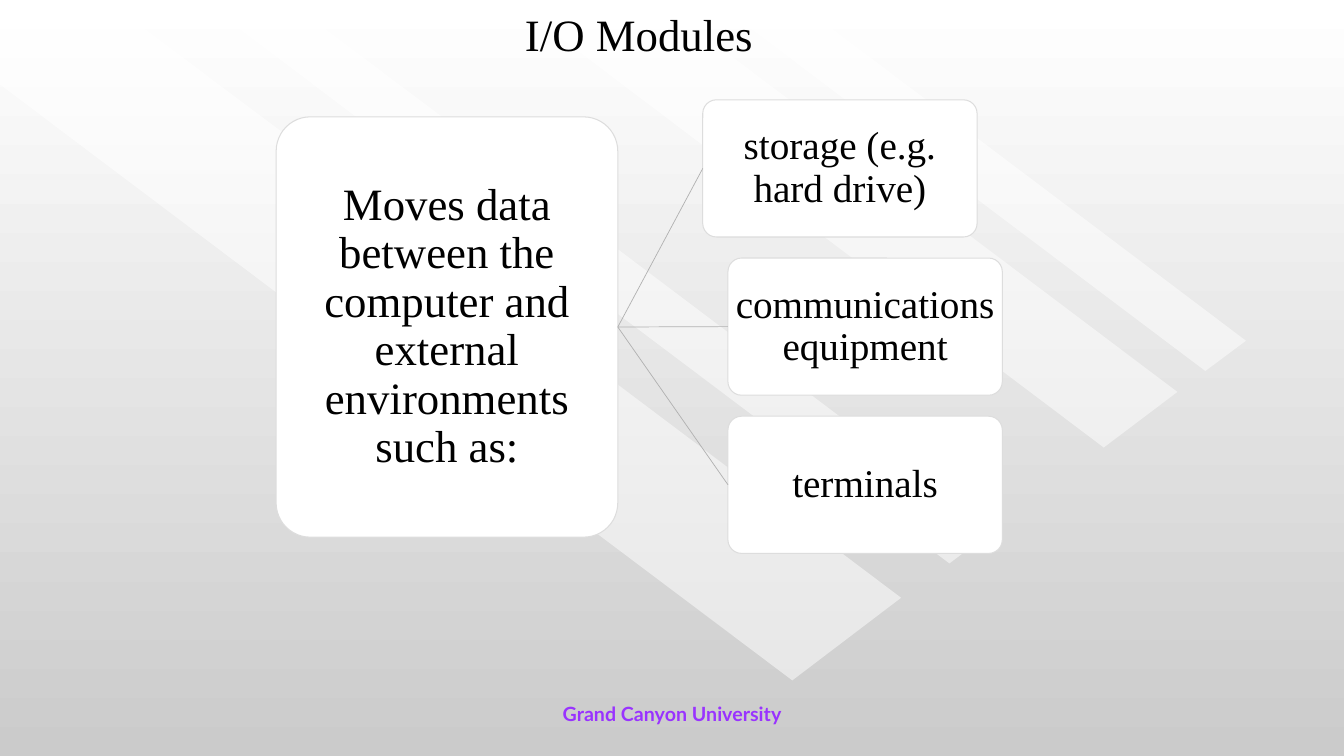
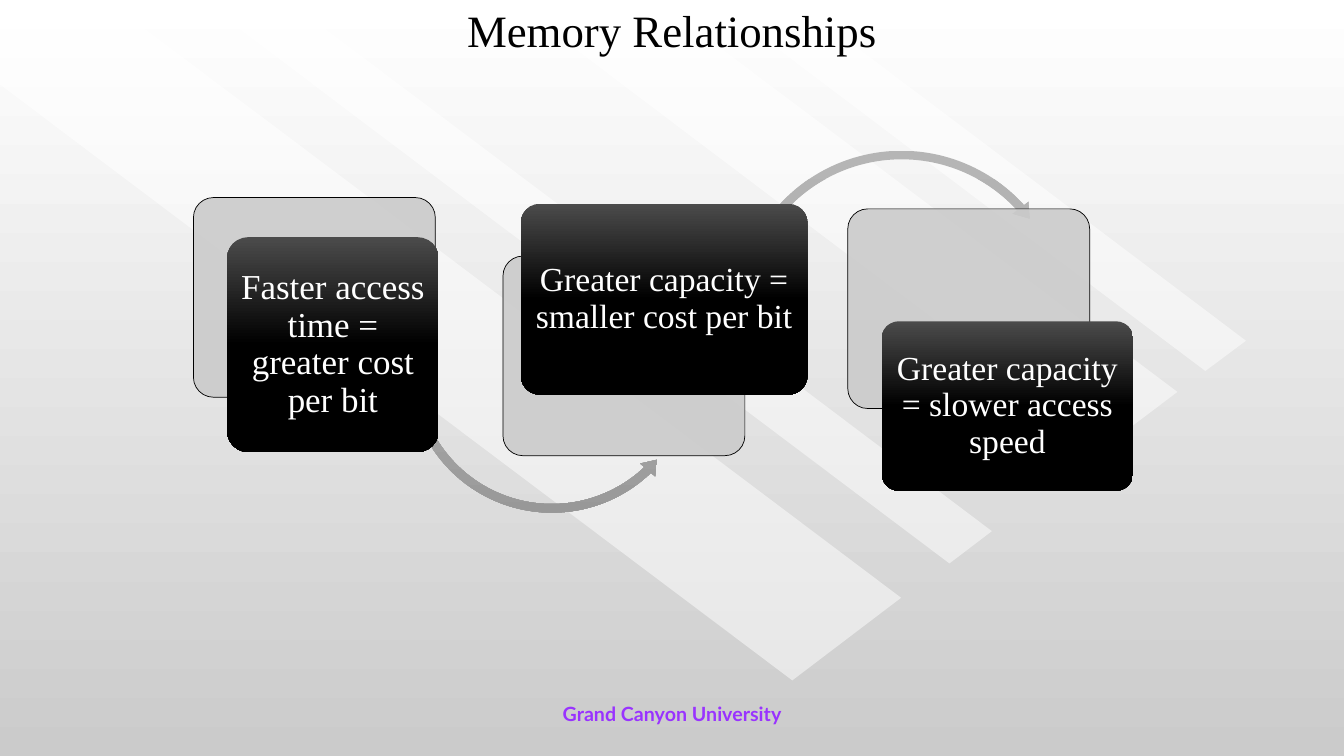
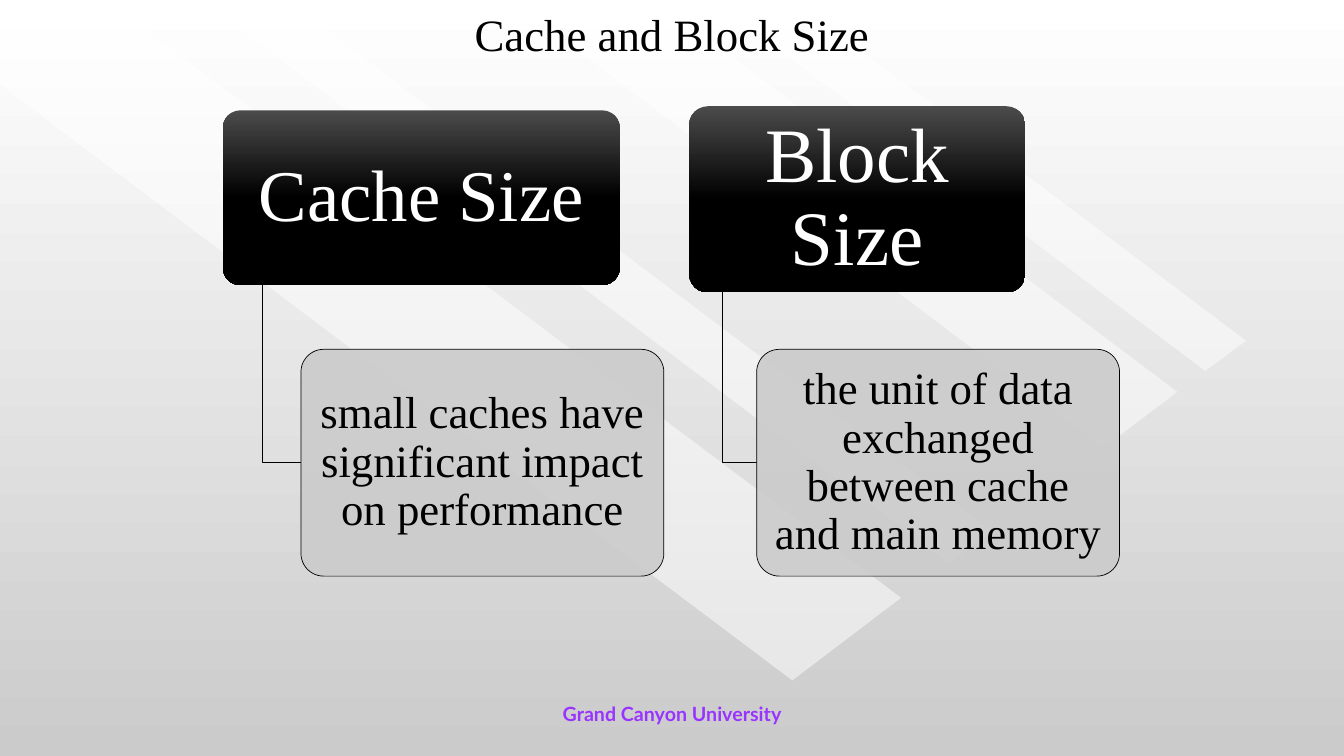
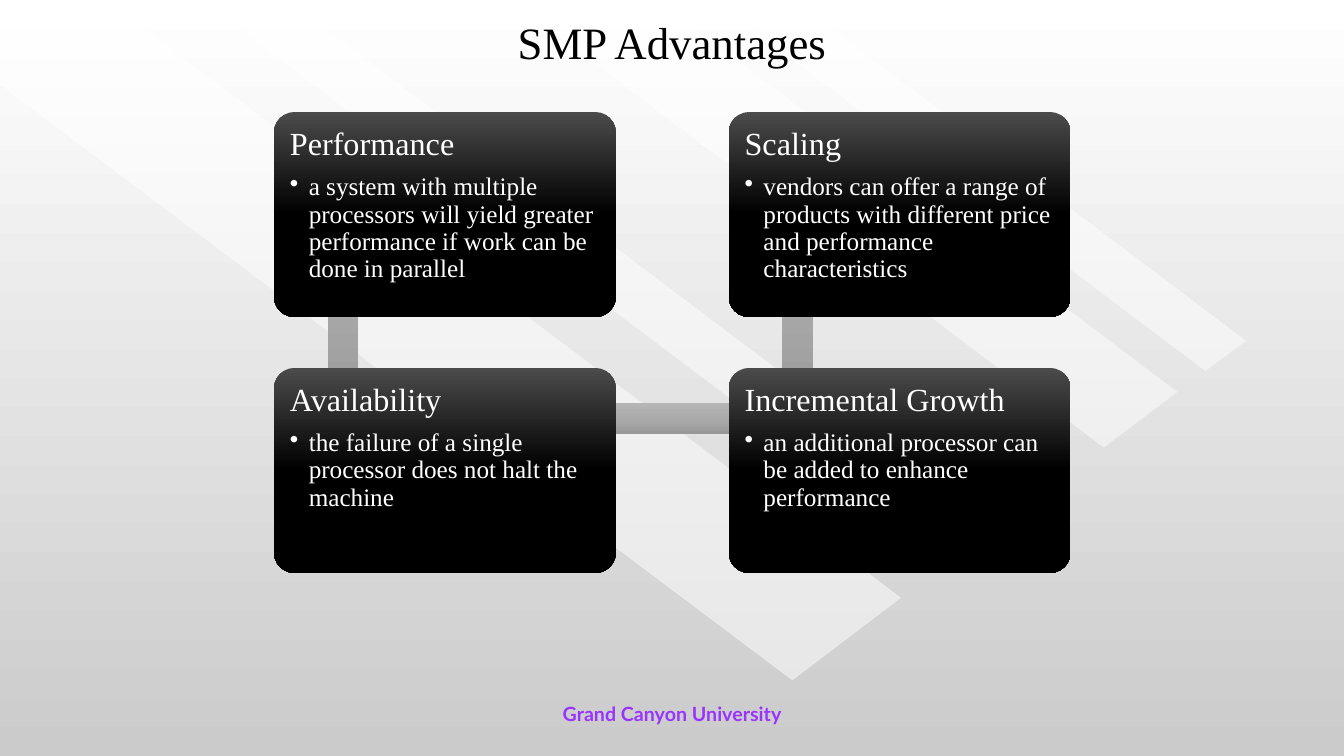
"""Build four slides on I/O modules, memory, caches and SMP."""
from copy import deepcopy

from lxml.etree import SubElement
from pptx import Presentation
from pptx.dml.color import RGBColor
from pptx.enum.shapes import MSO_CONNECTOR, MSO_SHAPE
from pptx.enum.text import MSO_ANCHOR, MSO_AUTO_SIZE, PP_ALIGN
from pptx.oxml.ns import qn
from pptx.util import Pt

SERIF = "Times New Roman"
BLACK, WHITE, SILVER, PURPLE = "000000", "FFFFFF", "CBCBCB", "9933FF"
DARK = ("4B4B4B", BLACK, BLACK)
GREY = ("B5B5B5", "ABABAB", "989898")
PAGE = (WHITE, SILVER)

FOOTER = "Grand Canyon University"
BANDS = [
    [(643.7, 427), (76.3, 0), (0, 0), (0, 60.5), (566, 486)],
    [(205.2, 0), (708.5, 379.4), (678.2, 402.5), (143.3, 0)],
    [(469.4, 0), (841, 280), (788.4, 319.7), (364.3, 0)],
    [(509, 0), (861, 265), (890, 243.4), (567.4, 0)],
]
TITLES = [
    ("I/O Modules", (351.4, 3, 210, 42.5)),
    ("Memory Relationships", (318, 0, 324, 42)),
    ("Cache and Block Size", (300, 0, 360, 48)),
    ("SMP Advantages", (350, 6, 260, 48)),
]

MOVER = "Moves data between the computer and external environments such as:"
MOVER_BOX = (197.3, 83.5, 244, 300.2)
ENVIRONMENTS = [
    ("storage (e.g. hard drive)", 502),
    ("communications equipment", 520),
    ("terminals", 520),
]
ENVIRONMENT_TOP, ENVIRONMENT_STEP, ENVIRONMENT_SIZE = 71.3, 113, (196, 98)

BACK_SIZE = (172.8, 142.6)
RELATIONSHIPS = [
    ("Faster access time = greater cost per bit", 25, (138.2, 141.1), (162.2, 169.4, 151.2, 153.5)),
    ("Greater capacity = smaller cost per bit", 24, (359.3, 182.9), (372, 145.6, 204.8, 136.3)),
    ("Greater capacity = slower access speed", 24, (605.6, 149.2), (629.9, 229.5, 179.4, 121)),
]
SWEEPS = [
    (MSO_SHAPE.LEFT_CIRCULAR_ARROW, (288, 157.7, 212.4, 212.4), (2.9, 350.7, 2782.3, 9680.5, 3.3)),
    (MSO_SHAPE.CIRCULAR_ARROW, (522, 103.7, 244, 244), (2.5, 302.8, 19063.9, 12117.8, 2.9)),
]

SIZES = [
    ("Cache Size", 52, (159.2, 78.8, 283.5, 124.8),
     "small caches have significant impact on performance", 215),
    ("Block Size", 55, (492.3, 75.9, 240, 133),
     "the unit of data exchanged between cache and main memory", 540.5),
]
DETAIL_TOP, DETAIL_SIZE = 249.5, (259.2, 162)

ADVANTAGES = [
    [("Performance", "a system with multiple processors will yield greater "
      "performance if work can be done in parallel"),
     ("Scaling", "vendors can offer a range of products with different price "
      "and performance characteristics")],
    [("Availability", "the failure of a single processor does not halt the machine"),
     ("Incremental Growth", "an additional processor can be added to enhance performance")],
]
CARD_LEFTS, CARD_TOPS, CARD_SIZE = (195.7, 520.5), (80, 262.8), (244.2, 146.4)
AXIS_X, AXIS_Y, BAR = 49.3, 36.3, 22


def rgb(hex_colour):
    """Turn a hex string into a colour."""
    return RGBColor.from_string(hex_colour)


def points(lengths):
    """Convert a series of numbers to points."""
    return [Pt(length) for length in lengths]


def shade(fill, owner, colours):
    """Fill from top to bottom with evenly spaced colours."""
    fill.gradient()
    fill.gradient_angle = 270
    stop_list = owner.xpath(".//a:gsLst")[0]
    while len(stop_list) < len(colours):
        stop_list.append(deepcopy(stop_list[-1]))
    for order, (stop, colour) in enumerate(zip(fill.gradient_stops, colours)):
        stop.color.rgb = rgb(colour)
        stop.position = order / (len(colours) - 1)


def paint(shape, fill, opacity=100, line=None, width=0.5):
    """Set the fill, opacity and outline, and take away the shadow."""
    shape.shadow.inherit = False
    if fill is None:
        shape.fill.background()
    elif isinstance(fill, tuple):
        shade(shape.fill, shape.element, fill)
    else:
        shape.fill.solid()
        shape.fill.fore_color.rgb = rgb(fill)
        if opacity < 100:
            colour = shape.element.spPr.find(qn("a:solidFill"))[0]
            SubElement(colour, qn("a:alpha"), val=str(opacity * 1000))
    if line:
        shape.line.color.rgb = rgb(line)
        shape.line.width = Pt(width)
    else:
        shape.line.fill.background()


def style(paragraph, size, colour, align=PP_ALIGN.CENTER, name=SERIF, bold=False):
    """Set the alignment and font of a paragraph."""
    paragraph.alignment = align
    font = paragraph.font
    font.name, font.size, font.bold = name, Pt(size), bold
    font.color.rgb = rgb(colour)


def frame_text(shape, inset, anchor=MSO_ANCHOR.MIDDLE):
    """Prepare a wrapped text frame with horizontal and vertical insets."""
    frame = shape.text_frame
    frame.word_wrap = True
    frame.vertical_anchor = anchor
    frame.margin_left = frame.margin_right = Pt(inset[0])
    frame.margin_top = frame.margin_bottom = Pt(inset[1])
    return frame


def add_shape(slide, preset, box, fill, **look):
    """Add a painted preset shape."""
    shape = slide.shapes.add_shape(preset, *points(box))
    paint(shape, fill, **look)
    return shape


def add_card(slide, box, fill, **look):
    """Add a rounded rectangle with slim corners."""
    card = add_shape(slide, MSO_SHAPE.ROUNDED_RECTANGLE, box, fill, **look)
    card.adjustments[0] = 0.1
    return card


def label(card, text, size, colour, inset):
    """Write one centred paragraph on a card."""
    frame = frame_text(card, inset)
    frame.text = text
    frame.paragraphs[0].line_spacing = 0.9
    style(frame.paragraphs[0], size, colour)


def add_outline(slide, corners, close):
    """Build a freeform through the given corners."""
    start, *rest = [tuple(points(corner)) for corner in corners]
    builder = slide.shapes.build_freeform(*start)
    builder.add_line_segments(rest, close=close)
    return builder.convert_to_shape()


def dress_master(master, slide):
    """Give the master its shaded page and slanted bands."""
    shade(master.background.fill, master.element, PAGE)
    for order, corners in enumerate(BANDS):
        band = add_outline(slide, corners, True)
        paint(band, WHITE, opacity=50)
        band.element.nvSpPr.cNvPr.set("id", str(100 + order))
        master.shapes.element.insert(2 + order, band.element)


def add_title(slide, text, box):
    """Place the slide title."""
    title = slide.shapes.title
    title.left, title.top, title.width, title.height = points(box)
    frame = frame_text(title, (7.2, 3.6))
    frame.auto_size = MSO_AUTO_SIZE.NONE
    frame.text = text
    style(frame.paragraphs[0], 32, BLACK)


def add_footer(slide):
    """Add the university line at the foot."""
    footer = slide.shapes.add_textbox(*points((328.2, 491.8, 303.8, 36)))
    frame = frame_text(footer, (7.2, 3.6))
    frame.word_wrap = False
    frame.text = FOOTER
    style(frame.paragraphs[0], 14, PURPLE, name="Lato", bold=True)


def draw_modules(slide):
    """Link the I/O module to its environments."""
    mover = add_card(slide, MOVER_BOX, WHITE, line="DDDDDD", width=0.75)
    label(mover, MOVER, 32, BLACK, (1.5, 1.5))
    for row, (text, left) in enumerate(ENVIRONMENTS):
        top = ENVIRONMENT_TOP + row * ENVIRONMENT_STEP
        environment = add_card(slide, (left, top, *ENVIRONMENT_SIZE), WHITE,
                               line="DDDDDD", width=0.75)
        label(environment, text, 28, BLACK, (1.5, 1.5))
        link = slide.shapes.add_connector(MSO_CONNECTOR.STRAIGHT, 0, 0, 0, 0)
        link.begin_connect(mover, 3)
        link.end_connect(environment, 1)
        link.line.color.rgb = rgb("B1B1B1")
        link.line.width = Pt(0.5)
        SubElement(link.element.spPr, qn("a:effectLst"))


def draw_relationships(slide):
    """Chain the three memory trade-offs with curved arrows."""
    for step, (text, size, corner, box) in enumerate(RELATIONSHIPS):
        add_card(slide, (*corner, *BACK_SIZE), SILVER, opacity=90, line=BLACK)
        for preset, sweep_box, bends in SWEEPS[step:step + 1]:
            sweep = add_shape(slide, preset, sweep_box, GREY)
            for index, percent in enumerate(bends):
                sweep.adjustments[index] = percent / 100
        label(add_card(slide, box, DARK), text, size, WHITE, (3.6, 2))


def draw_sizes(slide):
    """Hang a detail card from each size heading."""
    for heading, size, box, detail, detail_left in SIZES:
        left, top, width, height = box
        label(add_card(slide, box, DARK), heading, size, WHITE, (8, 5.4))
        stem, middle = left + width / 10, DETAIL_TOP + DETAIL_SIZE[1] / 2
        elbow = [(stem, top + height), (stem, middle), (detail_left, middle)]
        paint(add_outline(slide, elbow, False), None, line=BLACK)
        card = add_card(slide, (detail_left, DETAIL_TOP, *DETAIL_SIZE), SILVER,
                        opacity=90, line=BLACK)
        label(card, detail, 32, BLACK, (5, 3))


def draw_advantages(slide):
    """Set four advantage cards on a path of bars."""
    axes = [left + AXIS_X for left in CARD_LEFTS]
    first, last = [top + AXIS_Y for top in CARD_TOPS]
    bars = [(axis - BAR / 2, first, BAR, last - first) for axis in axes]
    bars.append((axes[0], last - BAR / 2, axes[1] - axes[0], BAR))
    for bar in bars:
        add_shape(slide, MSO_SHAPE.RECTANGLE, bar, GREY)
    for top, row in zip(CARD_TOPS, ADVANTAGES):
        for left, (heading, detail) in zip(CARD_LEFTS, row):
            card = add_card(slide, (left, top, *CARD_SIZE), DARK)
            frame = frame_text(card, (7.2, 7.2), MSO_ANCHOR.TOP)
            frame.text = f"{heading}\n{detail}"
            title, bullet = frame.paragraphs
            bullet.level = 1
            properties = bullet._p.get_or_add_pPr()
            properties.set("marL", str(Pt(13.5)))
            properties.set("indent", str(-Pt(13.5)))
            SubElement(properties, qn("a:buChar"), char="•")
            for paragraph, size, after in ((title, 23, 8), (bullet, 18, 3)):
                paragraph.line_spacing = 0.9
                paragraph.space_after = Pt(after)
                style(paragraph, size, WHITE, PP_ALIGN.LEFT)


def main():
    """Build and save the deck."""
    deck = Presentation()
    deck.slide_width, deck.slide_height = Pt(960), Pt(540)
    drawings = (draw_modules, draw_relationships, draw_sizes, draw_advantages)
    for (title, box), draw in zip(TITLES, drawings):
        slide = deck.slides.add_slide(deck.slide_layouts[5])
        add_title(slide, title, box)
        draw(slide)
        add_footer(slide)
    dress_master(deck.slide_master, deck.slides[0])
    deck.save("out.pptx")


if __name__ == "__main__":
    main()
